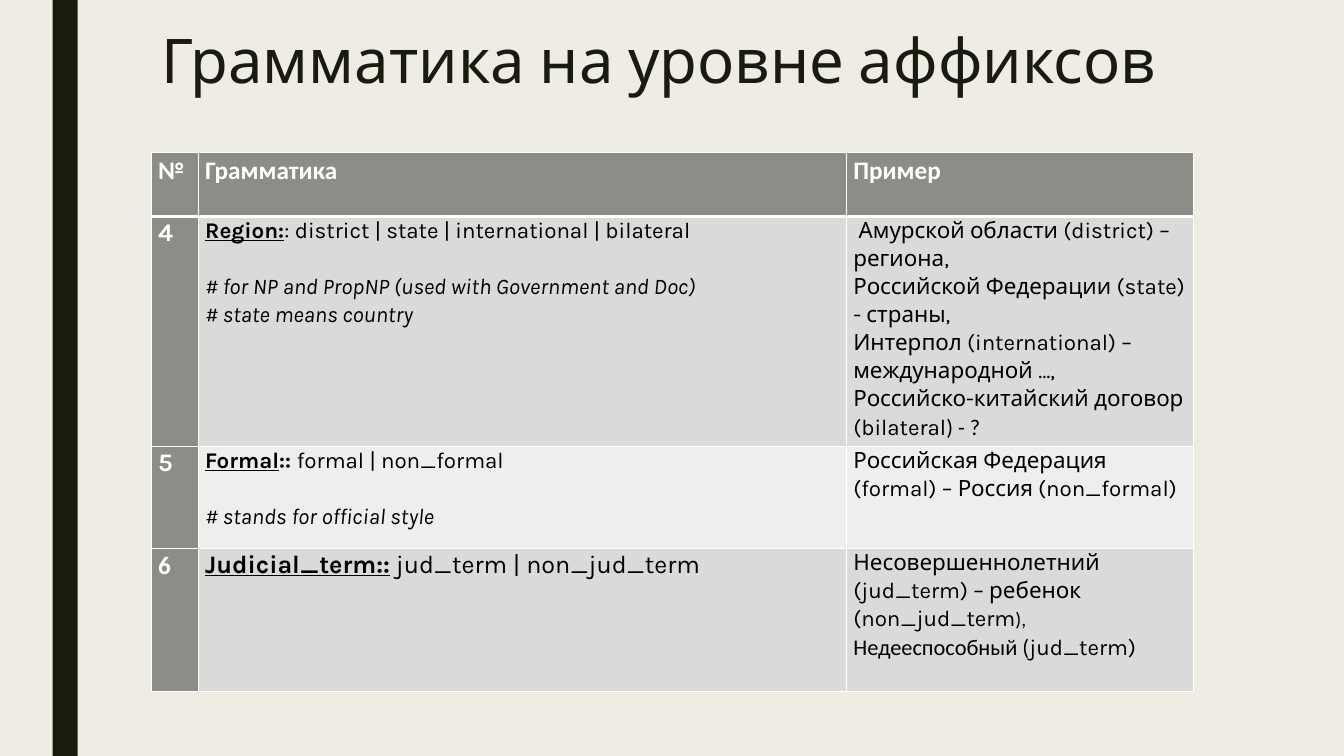
from lxml import etree
from pptx import Presentation
from pptx.dml.color import RGBColor
from pptx.enum.shapes import MSO_SHAPE
from pptx.enum.text import MSO_ANCHOR
from pptx.oxml.ns import qn
from pptx.util import Pt

RECTANGLE = MSO_SHAPE.RECTANGLE
TOP = MSO_ANCHOR.TOP

COLORS = {
    "background": "EFEDE3", "dark": "191B0E", "white": "FFFFFF", "black": "000000",
    "header": "8C8D86", "odd": "DADBD9", "even": "EEEEED",
}
KARLA, CALIBRI = "Karla", "Calibri"

# Content: a cell is a list of paragraphs, a paragraph is (space before, runs),
# a run is (text, size, style letters, font)
TITLE = "Грамматика на уровне аффиксов"
HEADINGS = ["№", "Грамматика", "Пример"]
GAP = 20  # one empty line between a rule and its remark

RULES = [
    (
        [(0, [("4", 18, "b", KARLA)])],
        [
            (0, [("Region:", 16, "bu", KARLA),
                 (": district | state | international | bilateral", 16, "", KARLA)]),
            (GAP, [("# for NP and PropNP (used with Government and Doc)", 16, "i", KARLA)]),
            (0, [("# state means country", 16, "i", KARLA)]),
        ],
        [
            (0, [(" Амурской области (district) – региона,", 16, "", KARLA)]),
            (0, [("Российской Федерации (state) - страны,", 16, "", KARLA)]),
            (0, [("Интерпол (international) – международной …,", 16, "", KARLA)]),
            (0, [("Российско-китайский договор (bilateral", 16, "", KARLA),
                 (") - ?", 16, "", CALIBRI)]),
        ],
    ),
    (
        [(0, [("5", 18, "b", KARLA)])],
        [
            (0, [("Formal", 16, "bu", KARLA), (":: ", 16, "b", KARLA),
                 ("formal | non_formal", 16, "", KARLA)]),
            (GAP, [("# stands for official style", 16, "i", KARLA)]),
        ],
        [(0, [("Российская Федерация (formal) – Россия (non_formal)", 16, "", KARLA)])],
    ),
    (
        [(0, [("6", 18, "b", CALIBRI)])],
        [(0, [("Judicial_term::", 18, "bu", KARLA),
              (" jud_term | non_jud_term", 18, "", KARLA)])],
        [(0, [("Несовершеннолетний (jud_term) – ребенок (non_jud_term", 16, "", KARLA),
              ("), ", 14, "", CALIBRI), ("Недееспособный (", 16, "", CALIBRI),
              ("jud_term)", 16, "", KARLA)])],
    ),
]

# Layout, in points
SLIDE_W, SLIDE_H = 960, 540
TABLE_LEFT, TABLE_TOP = 108, 109.2
COLUMN_WIDTHS = [33.6, 463, 248]
ROW_HEIGHTS = [45.4, 161.4, 73, 102]
CELL_INSET = 5
THIN, THICK = 1, 3


def rgb(name):
    return RGBColor.from_string(COLORS[name])


def add_run(paragraph, text, size, style, font, color):
    run = paragraph.add_run()
    run.text = text
    run.font.size = Pt(size)
    run.font.name = font
    run.font.bold = "b" in style
    run.font.italic = "i" in style
    run.font.underline = "u" in style
    run.font.color.rgb = rgb(color)


def set_borders(cell, top, bottom):
    properties = cell._tc.get_or_add_tcPr()
    widths = {"a:lnL": THIN, "a:lnR": THIN, "a:lnT": top, "a:lnB": bottom}
    for position, (tag, width) in enumerate(widths.items()):
        line = etree.Element(qn(tag), w=str(Pt(width)))
        fill = etree.SubElement(line, qn("a:solidFill"))
        etree.SubElement(fill, qn("a:srgbClr"), val=COLORS["white"])
        properties.insert(position, line)


def fill_cell(cell, paragraphs, fill, color):
    cell.fill.solid()
    cell.fill.fore_color.rgb = rgb(fill)
    cell.margin_left = cell.margin_right = Pt(CELL_INSET)
    cell.margin_top = cell.margin_bottom = 0
    cell.vertical_anchor = TOP
    frame = cell.text_frame
    for index, (space, runs) in enumerate(paragraphs):
        paragraph = frame.add_paragraph() if index else frame.paragraphs[0]
        paragraph.line_spacing = 1.07
        paragraph.space_before = Pt(space)
        for run in runs:
            add_run(paragraph, *run, color)


prs = Presentation()
prs.slide_width, prs.slide_height = Pt(SLIDE_W), Pt(SLIDE_H)
slide = prs.slides.add_slide(prs.slide_layouts[6])
slide.background.fill.solid()
slide.background.fill.fore_color.rgb = rgb("background")

# Side stripe
stripe = slide.shapes.add_shape(RECTANGLE, Pt(37.5), 0, Pt(18), Pt(SLIDE_H))
stripe.shadow.inherit = False
stripe.fill.solid()
stripe.fill.fore_color.rgb = rgb("dark")
stripe.line.fill.background()

# Title
title = slide.shapes.add_textbox(Pt(108), Pt(18.7), Pt(756), Pt(116.6)).text_frame
title.word_wrap = True
title.vertical_anchor = TOP
title.paragraphs[0].line_spacing = 0.89
add_run(title.paragraphs[0], TITLE, 44, "", KARLA, "dark")

# Grammar table
header = [[(0, [(heading, 18, "b", CALIBRI)])] for heading in HEADINGS]
rows = [header, *RULES]
grammar = slide.shapes.add_table(
    len(rows), len(HEADINGS), Pt(TABLE_LEFT), Pt(TABLE_TOP),
    Pt(sum(COLUMN_WIDTHS)), Pt(sum(ROW_HEIGHTS))).table
for column, width in zip(grammar.columns, COLUMN_WIDTHS):
    column.width = Pt(width)
for r, (row, height) in enumerate(zip(rows, ROW_HEIGHTS)):
    grammar.rows[r].height = Pt(height)
    for c, paragraphs in enumerate(row):
        heading = r == 0 or c == 0
        fill = "header" if heading else "odd" if r % 2 else "even"
        cell = grammar.cell(r, c)
        fill_cell(cell, paragraphs, fill, "white" if heading else "black")
        set_borders(cell, THICK if r == 1 else THIN, THICK if r == 0 else THIN)

prs.save("out.pptx")
